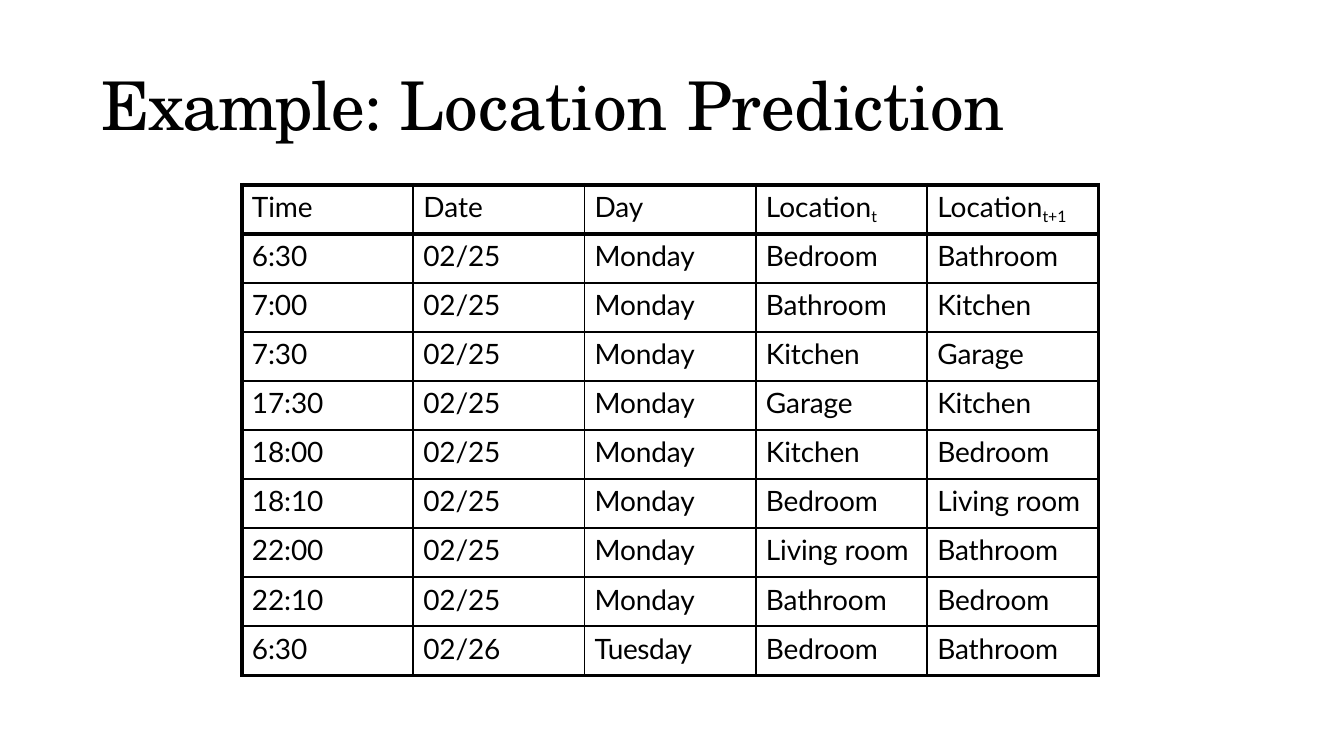
from dataclasses import dataclass

from lxml import etree
from pptx import Presentation
from pptx.dml.color import RGBColor
from pptx.enum.text import MSO_ANCHOR, MSO_AUTO_SIZE
from pptx.oxml.ns import qn
from pptx.util import Inches, Pt

TOP = MSO_ANCHOR.TOP
GROW = MSO_AUTO_SIZE.SHAPE_TO_FIT_TEXT
SLIDE_WIDTH, SLIDE_HEIGHT = Inches(13.33), Inches(7.5)


@dataclass(frozen=True)
class Theme:
    ink: str = "000000"
    paper: str = "FFFFFF"
    title_font: str = "TeX Gyre Schola"
    table_font: str = "Lato"
    title_size: float = 48
    cell_size: float = 20
    subscript_size: float = 19.5
    frame_line: float = 3
    grid_line: float = 1.5


THEME = Theme()

# Places in percent of the slide: left, top, width, height
TITLE_AREA = (7.5, 8.27, 67.43, 11.07)
TABLE_AREA = (18, 24.45, 63.75, 64.93)

# Title words with their letter spacing in points
TITLE = [("Example: ", -1.1), ("Location ", 0.1), ("Prediction", -0.2)]

# Header names with their subscripts
HEADER = [("Time", ""), ("Date", ""), ("Day", ""),
          ("Location", "t"), ("Location", "t+1")]

# Each location is the next one's starting point
TIMES = ["6:30", "7:00", "7:30", "17:30", "18:00",
         "18:10", "22:00", "22:10", "6:30"]
DAYS = [("02/25", "Monday")] * 8 + [("02/26", "Tuesday")]
LOCATIONS = ["Bedroom", "Bathroom", "Kitchen", "Garage", "Kitchen",
             "Bedroom", "Living room", "Bathroom", "Bedroom", "Bathroom"]
LETTER_SPACING = {"Tuesday": -0.3, "Date": 0, "Location": 0}


def place(area):
    left, top, width, height = area
    return (int(SLIDE_WIDTH * left / 100), int(SLIDE_HEIGHT * top / 100),
            int(SLIDE_WIDTH * width / 100), int(SLIDE_HEIGHT * height / 100))


def set_all(target, values):
    for attribute, value in values.items():
        setattr(target, attribute, value)


def add_words(paragraph, words, font, size, spacing, baseline=0):
    run = paragraph.add_run()
    run.text = words
    set_all(run.font, {"name": font, "size": Pt(size), "bold": False})
    run.font.color.rgb = RGBColor.from_string(THEME.ink)
    properties = run.font._element
    properties.set("spc", str(round(spacing * 100)))
    if baseline:
        properties.set("baseline", str(baseline * 1000))


def indent(paragraph, inches, space_before):
    paragraph.space_before = Pt(space_before)
    paragraph._p.get_or_add_pPr().set("marL", str(Inches(inches)))


def add_title(slide):
    title = slide.shapes.add_textbox(*place(TITLE_AREA))
    set_all(title.text_frame, {
        "word_wrap": True, "auto_size": GROW, "vertical_anchor": TOP,
        "margin_left": 0, "margin_top": Inches(0.01),
        "margin_right": 0, "margin_bottom": 0})
    paragraph = title.text_frame.paragraphs[0]
    indent(paragraph, 0.01, 1)
    for words, spacing in TITLE:
        add_words(paragraph, words, THEME.title_font, THEME.title_size, spacing)


def add_borders(cell, framed_sides):
    properties = cell._tc.get_or_add_tcPr()
    for side in "LRTB":
        width = THEME.frame_line if side in framed_sides else THEME.grid_line
        line = etree.SubElement(properties, qn(f"a:ln{side}"), w=str(Pt(width)))
        fill = etree.SubElement(line, qn("a:solidFill"))
        etree.SubElement(fill, qn("a:srgbClr"), val=THEME.ink)


def framed_sides(row, column, last_row, last_column):
    # The header row has a heavy line on both sides
    rules = {"L": column == 0, "R": column == last_column,
             "T": row <= 1, "B": row in (0, last_row)}
    return {side for side, framed in rules.items() if framed}


def fill_cell(cell, words, subscript):
    set_all(cell, {"margin_left": 0, "margin_top": Inches(0.05),
                   "margin_right": 0, "margin_bottom": 0,
                   "vertical_anchor": TOP})
    cell.fill.background()
    paragraph = cell.text_frame.paragraphs[0]
    indent(paragraph, 0.1, 3.6)
    spacing = LETTER_SPACING.get(words, -0.1)
    add_words(paragraph, words, THEME.table_font, THEME.cell_size, spacing)
    if subscript:
        add_words(paragraph, subscript, THEME.table_font,
                  THEME.subscript_size, 0, baseline=-17)


def add_location_table(slide):
    moves = zip(TIMES, DAYS, LOCATIONS, LOCATIONS[1:])
    records = [HEADER] + [[(words, "") for words in (time, *day, here, following)]
                          for time, day, here, following in moves]
    last_row, last_column = len(records) - 1, len(HEADER) - 1
    frame = slide.shapes.add_table(len(records), len(HEADER), *place(TABLE_AREA))
    table = frame.table
    set_all(table, {"first_row": False, "horz_banding": False})
    for row, record in enumerate(records):
        for column, (words, subscript) in enumerate(record):
            cell = table.cell(row, column)
            add_borders(cell, framed_sides(row, column, last_row, last_column))
            fill_cell(cell, words, subscript)


def main():
    deck = Presentation()
    set_all(deck, {"slide_width": SLIDE_WIDTH, "slide_height": SLIDE_HEIGHT})
    slide = deck.slides.add_slide(deck.slide_layouts[6])
    slide.background.fill.solid()
    slide.background.fill.fore_color.rgb = RGBColor.from_string(THEME.paper)
    add_location_table(slide)
    add_title(slide)
    deck.save("out.pptx")


if __name__ == "__main__":
    main()
